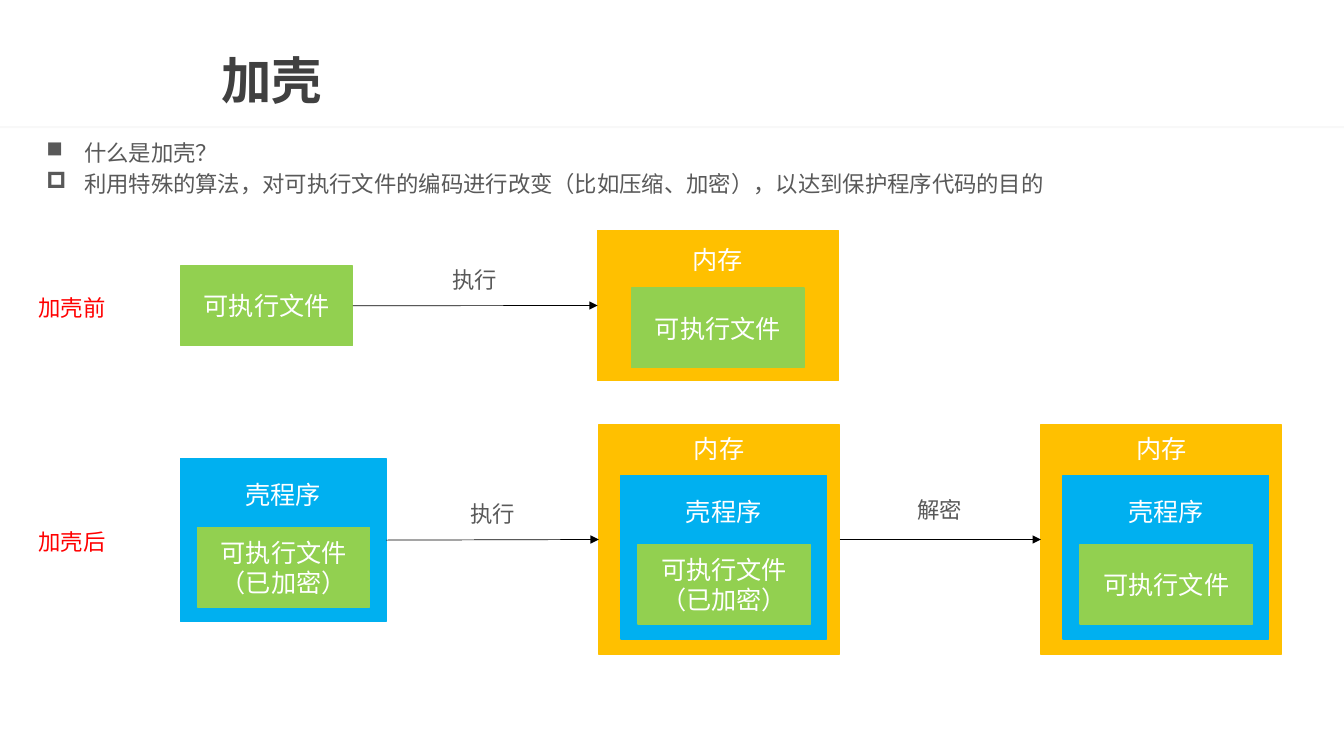
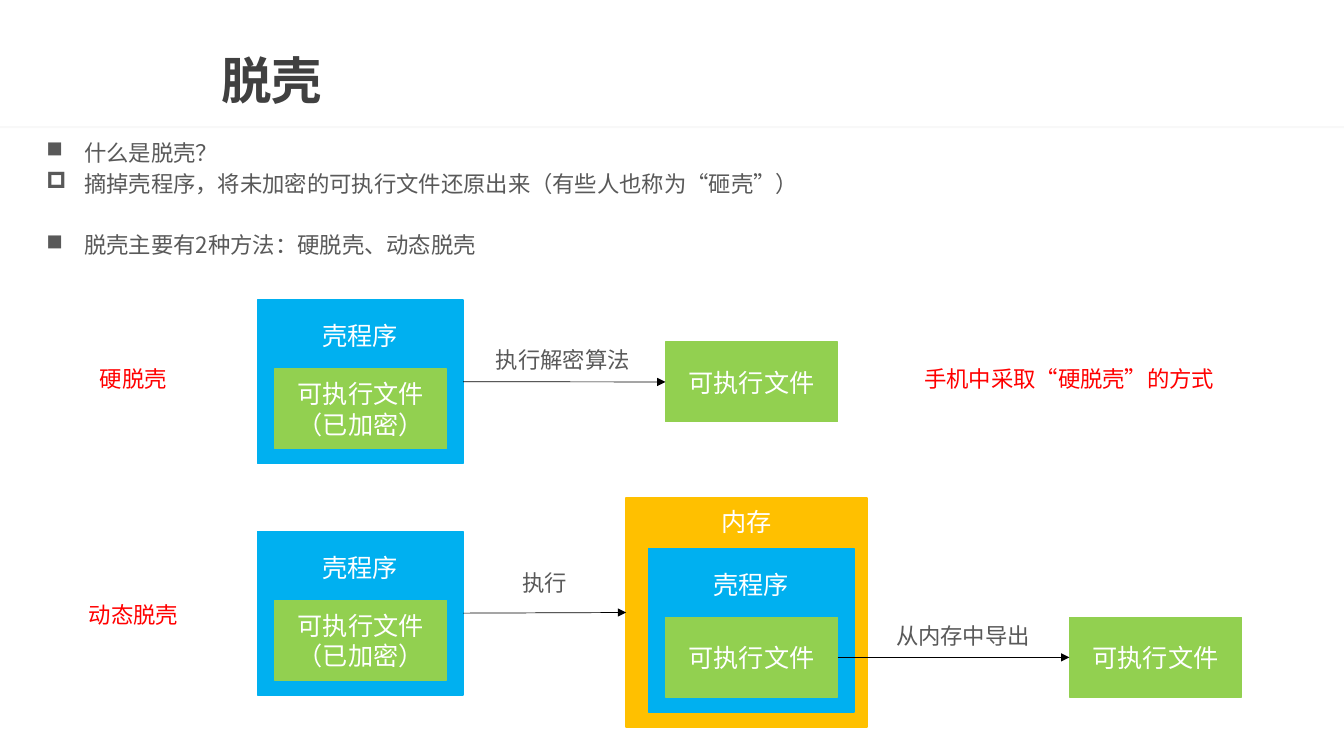
from lxml import etree
from pptx import Presentation
from pptx import util as u
from pptx.dml import color
from pptx.enum import lang, shapes, text
from pptx.oxml import ns

NOTO = "Noto Sans CJK SC"
CHINESE = lang.MSO_LANGUAGE_ID.SIMPLIFIED_CHINESE
CENTER = {"alignment": text.PP_ALIGN.CENTER}
LINE_22 = {"line_spacing": u.Pt(22)}
WINGDINGS = {"■": "n", "◻": "p"}

STYLES = {
    "title": ("404040", {"name": NOTO, "size": u.Pt(36), "bold": True}, {"line_spacing": 0.9}),
    "point": ("595959", {"name": NOTO, "size": u.Pt(16)}, LINE_22),
    "step": ("595959", {"name": NOTO, "size": u.Pt(16)}, LINE_22 | CENTER),
    "caption": ("FF0000", {"name": NOTO, "size": u.Pt(16)}, LINE_22 | CENTER),
    "box": ("FFFFFF", {"name": "Calibri", "size": u.Pt(18)}, CENTER),
}

LAYERS = {
    "memory": {"color": "FFC000", "size": (6.07, 5.77), "inner": (0.56, 1.27), "inset": 0.22},
    "small memory": {"color": "FFC000", "size": (6.07, 3.78), "inner": (0.86, 1.45), "inset": 0.35},
    "shell": {"color": "00B0F0", "size": (5.18, 4.12), "inner": (0.43, 1.74), "inset": 0.52},
    "file": {"color": "92D050", "size": (4.34, 2.01), "inner": (0, 0), "inset": None},
}
HEADINGS = {"memory": ["内存"], "small memory": ["内存"], "shell": ["壳程序"]}
PLAIN = ["可执行文件"]
ENCRYPTED = ["可执行文件", "（已加密）"]

SLIDES = [
    {
        "title": "加壳",
        "points": [
            ("■", "什么是加壳？", 0),
            ("◻", "利用特殊的算法，对可执行文件的编码进行改变（比如压缩、加密），以达到保护程序代码的目的", 0),
        ],
        "stacks": {
            "file on disk": (4.55, 6.7, ["file"], PLAIN),
            "file loaded": (15.06, 5.81, ["small memory", "file"], PLAIN),
            "packed on disk": (4.55, 11.55, ["shell", "file"], ENCRYPTED),
            "packed loaded": (15.09, 10.71, ["memory", "shell", "file"], ENCRYPTED),
            "decrypted": (26.23, 10.71, ["memory", "shell", "file"], PLAIN),
        },
        "arrows": [
            ("file on disk", 0, "file loaded"),
            ("packed on disk", 0, "packed loaded"),
            ("packed loaded", 0, "decrypted"),
        ],
        "labels": [
            ("step", "执行", 10.92, 6.5, 2.08),
            ("step", "执行", 11.37, 12.4, 2.08),
            ("step", "解密", 22.65, 12.29, 2.08),
            ("caption", "加壳前", 0.52, 7.21, 2.59),
            ("caption", "加壳后", 0.52, 13.11, 2.59),
        ],
    },
    {
        "title": "脱壳",
        "points": [
            ("■", "什么是脱壳？", 0),
            ("◻", "摘掉壳程序，将未加密的可执行文件还原出来（有些人也称为“砸壳”）", 0),
            ("■", "脱壳主要有2种方法：硬脱壳、动态脱壳", 22),
        ],
        "stacks": {
            "static packed": (6.49, 7.56, ["shell", "file"], ENCRYPTED),
            "static result": (16.77, 8.62, ["file"], PLAIN),
            "dynamic packed": (6.49, 13.39, ["shell", "file"], ENCRYPTED),
            "dynamic loaded": (15.78, 12.55, ["memory", "shell", "file"], PLAIN),
            "dynamic result": (26.95, 15.56, ["file"], PLAIN),
        },
        "arrows": [
            ("static packed", 0, "static result"),
            ("dynamic packed", 0, "dynamic loaded"),
            ("dynamic loaded", -1, "dynamic result"),
        ],
        "labels": [
            ("step", "执行解密算法", 11.96, 8.51, 4.45),
            ("step", "执行", 12.69, 14.14, 2.08),
            ("step", "从内存中导出", 22.3, 15.48, 3.94),
            ("caption", "硬脱壳", 1.69, 8.99, 3.35),
            ("caption", "动态脱壳", 1.69, 14.94, 3.35),
            ("caption", "手机中采取“硬脱壳”的方式", 22.34, 8.99, 9.22),
        ],
    },
]


def paint(target, hex_color):
    if hasattr(target, "solid"):
        target.solid()
        target = target.fore_color
    target.rgb = color.RGBColor.from_string(hex_color)


def write(shape, lines, style, anchor=text.MSO_ANCHOR.MIDDLE):
    ink, font, layout = STYLES[style]
    frame = shape.text_frame
    frame.word_wrap = True
    frame.vertical_anchor = anchor
    for number, line in enumerate(lines):
        paragraph = frame.paragraphs[0] if number == 0 else frame.add_paragraph()
        for key, value in layout.items():
            setattr(paragraph, key, value)
        run = paragraph.add_run()
        run.text = line
        for key, value in (font | {"language_id": CHINESE}).items():
            setattr(run.font, key, value)
        paint(run.font.color, ink)
        if font["name"] == NOTO:
            etree.SubElement(run._r.get_or_add_rPr(), ns.qn("a:ea"), typeface=NOTO)
    return frame


deck = Presentation()
deck.slide_width, deck.slide_height = u.Cm(33.87), u.Cm(19.05)

for content in SLIDES:
    slide = deck.slides.add_slide(deck.slide_layouts[6])
    canvas = slide.shapes

    rule = canvas.add_shape(shapes.MSO_SHAPE.RECTANGLE, 0, u.Cm(3.18), deck.slide_width, u.Cm(0.05))
    rule.shadow.inherit = False
    rule.line.fill.background()
    paint(rule.fill, "EAEAEA")
    tint = rule._element.spPr.find(".//" + ns.qn("a:srgbClr"))
    etree.SubElement(tint, ns.qn("a:alpha"), val="32000")

    title = canvas.add_textbox(u.Cm(5.33), u.Cm(1.11), u.Cm(28.02), u.Cm(1.98))
    write(title, [content["title"]], "title")

    points = content["points"]
    height = 0.38 + sum(0.78 + gap * 0.035 for _, _, gap in points)
    outline = canvas.add_textbox(u.Cm(0.92), u.Cm(3.28), u.Cm(31.95), u.Cm(height))
    frame = write(outline, [line for _, line, _ in points], "point", text.MSO_ANCHOR.TOP)
    for paragraph, (mark, _, gap) in zip(frame.paragraphs, points):
        if gap:
            paragraph.space_before = u.Pt(gap)
        properties = paragraph._p.get_or_add_pPr()
        properties.set("marL", str(u.Cm(0.95)))
        properties.set("indent", str(-u.Cm(0.95)))
        etree.SubElement(properties, ns.qn("a:buFont"), typeface="Wingdings", charset="2")
        etree.SubElement(properties, ns.qn("a:buChar"), char=WINGDINGS[mark])

    stacks = {}
    for stack, (left, top, layers, file_lines) in content["stacks"].items():
        stacks[stack] = []
        for layer in layers:
            look = LAYERS[layer]
            width, height = look["size"]
            box = canvas.add_shape(
                shapes.MSO_SHAPE.RECTANGLE, u.Cm(left), u.Cm(top), u.Cm(width), u.Cm(height)
            )
            box.shadow.inherit = False
            paint(box.fill, look["color"])
            paint(box.line.fill, look["color"])
            box.line.width = u.Pt(1)
            if layer == "file":
                write(box, file_lines, "box")
            else:
                frame = write(box, HEADINGS[layer], "box", text.MSO_ANCHOR.TOP)
                frame.margin_top = u.Cm(look["inset"])
            stacks[stack].append(box)
            left += look["inner"][0]
            top += look["inner"][1]

    for source, depth, target in content["arrows"]:
        arrow = canvas.add_connector(shapes.MSO_CONNECTOR.STRAIGHT, 0, 0, 0, 0)
        arrow.begin_connect(stacks[source][depth], 3)
        arrow.end_connect(stacks[target][0], 1)
        paint(arrow.line.fill, "000000")
        arrow.line.width = u.Pt(0.5)
        properties = arrow._element.spPr
        etree.SubElement(properties.find(ns.qn("a:ln")), ns.qn("a:tailEnd"), type="triangle")
        etree.SubElement(properties, ns.qn("a:effectLst"))

    for style, words, left, top, width in content["labels"]:
        label = canvas.add_textbox(u.Cm(left), u.Cm(top), u.Cm(width), u.Cm(0.99))
        frame = write(label, [words], style)
        frame.margin_left = frame.margin_right = 0

deck.save("out.pptx")
